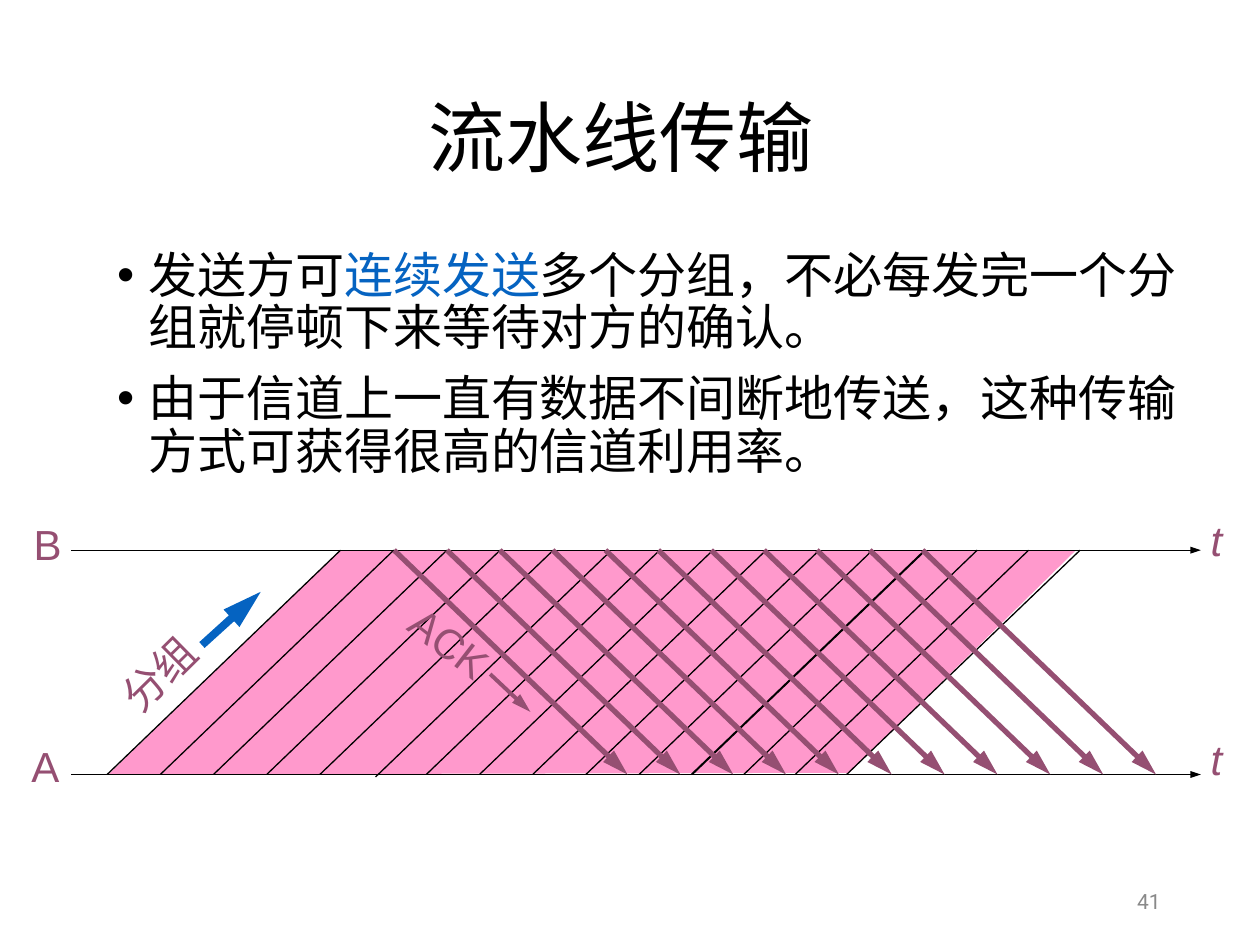
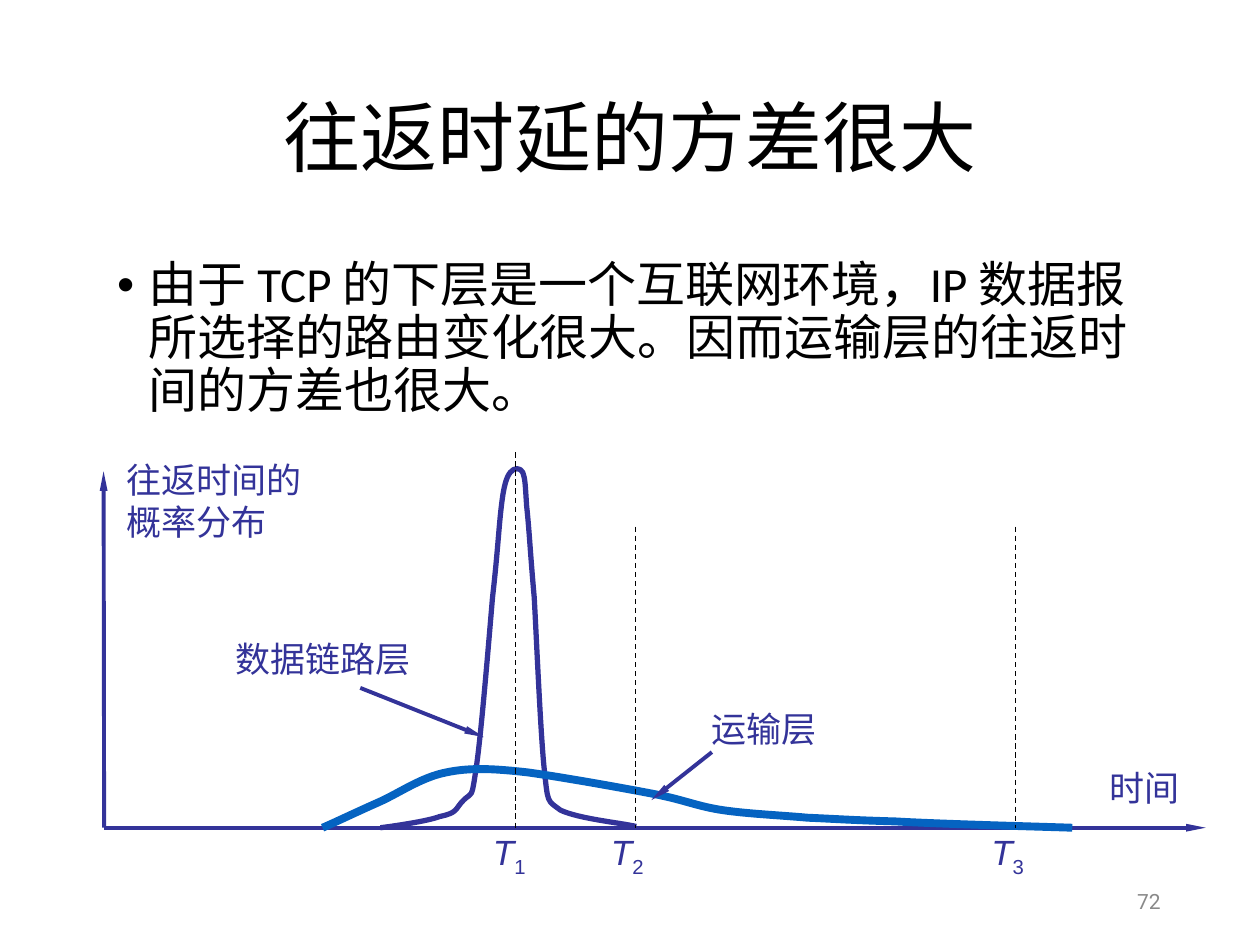
from dataclasses import dataclass

from lxml.etree import SubElement
from pptx import Presentation
from pptx.dml.color import RGBColor
from pptx.enum.dml import MSO_LINE
from pptx.enum.shapes import MSO_CONNECTOR
from pptx.enum.text import MSO_ANCHOR, MSO_AUTO_SIZE, PP_ALIGN
from pptx.oxml.ns import qn
from pptx.util import Pt


@dataclass(frozen=True)
class Theme:
    black: str = "000000"
    blue: str = "0563C1"
    plum: str = "954F72"
    pink: str = "FF99CC"
    navy: str = "333399"
    grey: str = "898989"
    text_font: str = "Calibri"
    label_font: str = "Arial"
    number_font: str = "Roboto"
    title_size: float = 44
    body_size: float = 28
    packet_size: float = 24
    axis_size: float = 20
    number_size: float = 12
    hairline: float = 0.75
    medium: float = 2.25
    strong: float = 3
    heavy: float = 4.5
    # Arrowheads as (width, length)
    small_head: tuple = ("sm", "med")
    slim_head: tuple = ("sm", "lg")
    long_head: tuple = ("med", "lg")


THEME = Theme()


def add_span(para, text, *, size, color, font, italic=False, baseline=0):
    span = para.add_run()
    span.text = text
    span.font.size = Pt(size)
    span.font.name = font
    span.font.italic = italic
    span.font.color.rgb = RGBColor.from_string(color)
    if baseline:
        span.font._element.set("baseline", str(baseline * 1000))
    return span


class SlideBuilder:
    def __init__(self, deck, theme=THEME):
        self.deck = deck
        self.theme = theme
        self.page = None

    def new_page(self, title, number):
        theme = self.theme
        self.page = self.deck.slides.add_slide(self.deck.slide_layouts[6])
        frame = self.text_box(49.7, 28.8, 620.6, 104.4, anchor=MSO_ANCHOR.MIDDLE)
        para = frame.paragraphs[0]
        para.alignment = PP_ALIGN.CENTER
        para.line_spacing = 0.9
        add_span(para, title, size=theme.title_size, color=theme.black, font=theme.text_font)
        frame = self.text_box(508.3, 500.4, 162, 28.8, anchor=MSO_ANCHOR.MIDDLE)
        para = frame.paragraphs[0]
        para.alignment = PP_ALIGN.RIGHT
        add_span(para, str(number), size=theme.number_size, color=theme.grey,
                 font=theme.number_font)

    def text_box(self, left, top, width, height, *, anchor=MSO_ANCHOR.TOP,
                 wrap=True, rotation=0):
        box = self.page.shapes.add_textbox(Pt(left), Pt(top), Pt(width), Pt(height))
        box.rotation = rotation
        frame = box.text_frame
        frame.word_wrap = wrap
        frame.auto_size = MSO_AUTO_SIZE.NONE if wrap else MSO_AUTO_SIZE.SHAPE_TO_FIT_TEXT
        frame.vertical_anchor = anchor
        return frame

    def bullets(self, left, top, width, height, items):
        """Each item is a list of (text, color) pairs."""
        frame = self.text_box(left, top, width, height)
        for index, item in enumerate(items):
            para = frame.add_paragraph() if index else frame.paragraphs[0]
            para.line_spacing = 0.9
            para.space_before = Pt(10 if index else 0)
            properties = para._p.get_or_add_pPr()
            properties.set("marL", str(Pt(18)))
            properties.set("indent", str(-Pt(18)))
            SubElement(properties, qn("a:buFont")).set("typeface", "Arial")
            SubElement(properties, qn("a:buChar")).set("char", "•")
            for text, color in item:
                add_span(para, text, size=self.theme.body_size, color=color,
                         font=self.theme.text_font)

    def label(self, left, top, width, height, *lines, size, color, italic=False,
              subscript="", rotation=0):
        frame = self.text_box(left, top, width, height, wrap=False, rotation=rotation)
        look = dict(size=size, color=color, font=self.theme.label_font)
        for index, line in enumerate(lines):
            para = frame.add_paragraph() if index else frame.paragraphs[0]
            add_span(para, line, italic=italic, **look)
            if subscript:
                add_span(para, subscript, baseline=-25, **look)

    def line(self, start, end, color, width, *, head=None, dashed=False):
        connector = self.page.shapes.add_connector(
            MSO_CONNECTOR.STRAIGHT, *(Pt(value) for value in (*start, *end)))
        connector.line.color.rgb = RGBColor.from_string(color)
        connector.line.width = Pt(width)
        if dashed:
            connector.line.dash_style = MSO_LINE.DASH
        if head:
            tail = SubElement(connector.line._get_or_add_ln(), qn("a:tailEnd"))
            for name, value in zip(("type", "w", "len"), ("triangle", *head)):
                tail.set(name, value)
        SubElement(connector._element.spPr, qn("a:effectLst"))

    def outline(self, points, *, close):
        start, *rest = [(Pt(x), Pt(y)) for x, y in points]
        drawing = self.page.shapes.build_freeform(*start)
        drawing.add_line_segments(rest, close=close)
        shape = drawing.convert_to_shape()
        shape.shadow.inherit = False
        return shape

    def area(self, points, fill):
        shape = self.outline(points, close=True)
        shape.fill.solid()
        shape.fill.fore_color.rgb = RGBColor.from_string(fill)
        shape.line.fill.background()

    def curve(self, start, pieces, color, width):
        """Each piece is a cubic curve: two control points and an end."""
        shape = self.outline([start, *(point for piece in pieces for point in piece)],
                             close=False)
        # Join every three straight segments into one cubic curve
        segments = list(shape._element.iter(qn("a:lnTo")))
        for first in range(0, len(segments), 3):
            segments[first].tag = qn("a:cubicBezTo")
            for segment in segments[first + 1:first + 3]:
                segments[first].append(segment[0])
                segment.getparent().remove(segment)
        shape.fill.background()
        shape.line.color.rgb = RGBColor.from_string(color)
        shape.line.width = Pt(width)


def build_pipeline_page(builder):
    theme = builder.theme
    builder.new_page("流水线传输 ", 41)
    builder.bullets(59.8, 139.7, 634.3, 164.2, [
        [("发送方可", theme.black), ("连续发送", theme.blue),
         ("多个分组，不必每发完一个分组就停顿下来等待对方的确认。", theme.black)],
        [("由于信道上一直有数据不间断地传送，这种传输方式可获得很高的信道利用率。",
          theme.black)],
    ])

    # Band of packets between the time axes of A and B
    receiver_y, sender_y = 314.4, 442.6
    travel = 133.4
    builder.area([(61.9, sender_y), (194.4, receiver_y), (614.2, 315), (485.3, 441.6)],
                 theme.pink)
    for y in (sender_y, receiver_y):
        builder.line((40.6, y), (686.2, y), theme.black, theme.hairline,
                     head=theme.small_head)

    # Packet edges: the last three are closer, the sixth is off the grid, one is doubled
    edges = [(61.2 + 30.4 * min(index, 11) + 29.4 * max(index - 11, 0), 0)
             for index in range(15)]
    edges[5] = (214.6, 1.4)
    edges.append((395, 0))
    for x, drop in edges:
        builder.line((x, sender_y + drop), (x + travel, receiver_y + drop),
                     theme.black, theme.hairline)

    # Acknowledgements
    for index in range(11):
        x = 225.2 + 30.2 * index
        builder.line((x, receiver_y), (x + travel, sender_y), theme.plum, theme.strong,
                     head=theme.long_head)

    # Labels and direction arrows
    look = dict(size=theme.packet_size, color=theme.plum)
    builder.label(12.2, 292.6, 30.2, 36, "B", **look)
    builder.label(10.8, 419.8, 30.2, 36, "A", **look)
    for top in (290.6, 415.4):
        builder.label(684.7, top, 20.9, 36, "t", italic=True, **look)
    builder.label(59.8, 366.5, 62.6, 36, "分组", rotation=315.3, **look)
    builder.label(225.2, 349.2, 64.1, 36, "ACK", rotation=37.8, **look)
    builder.line((115.4, 368.6), (149, 338.2), theme.blue, theme.heavy,
                 head=theme.long_head)
    builder.line((280.1, 385.2), (303.1, 406.8), theme.plum, theme.medium,
                 head=theme.long_head)


def build_delay_page(builder):
    theme = builder.theme
    builder.new_page("往返时延的方差很大", 72)
    builder.bullets(59.8, 145.4, 612, 113, [
        [("由于 TCP 的下层是一个互联网环境，IP 数据报所选择的路由变化很大。"
          "因而运输层的往返时间的方差也很大。", theme.black)],
    ])

    # Axes
    base_y = 473
    for end in ((689, base_y), (59.2, 269.3)):
        builder.line((59.5, base_y), end, theme.navy, theme.medium, head=theme.slim_head)

    # Distribution curves
    builder.curve((217.4, base_y), [
        ((223.2, 472.3), (244.1, 469.4), (251.3, 466.6)),
        ((262.1, 464.4), (259.9, 462.2), (265, 457.2)),
        ((270, 452.2), (269.3, 457.9), (272.2, 438.5)),
        ((275, 419.8), (279.4, 365.8), (281.5, 341.3)),
        ((284.4, 316.1), (285.1, 301), (286.6, 288.7)),
        ((288, 277.2), (289.4, 272.9), (291.6, 270)),
        ((293.8, 267.1), (297.4, 267.1), (298.8, 270)),
        ((300.2, 273.6), (300.2, 277.9), (301, 289.4)),
        ((302.4, 301.7), (303.1, 316.8), (305.3, 341.3)),
        ((306.7, 366.5), (308.9, 419), (311, 439.2)),
        ((313.2, 459.4), (312.5, 457.2), (320.4, 463)),
        ((331.2, 468), (355, 470.2), (363.6, 472.3)),
    ], theme.navy, theme.strong)
    builder.curve((184.3, base_y), [
        ((189.4, 470.9), (204.5, 463.7), (216, 458.6)),
        ((227.5, 453.6), (240.5, 444.2), (254.9, 441.4)),
        ((268.6, 438.5), (282.2, 439.2), (301.7, 441.4)),
        ((321.8, 444.2), (354.2, 450), (373, 453.6)),
        ((391.7, 457.2), (398.2, 460.8), (413.3, 463)),
        ((427.7, 465.1), (445, 465.8), (461.5, 467.3)),
        ((478.1, 468), (486.7, 468.7), (511.9, 469.4)),
        ((537.1, 470.9), (591.8, 472.3), (612.7, base_y)),
    ], theme.blue, theme.heavy)

    # Time marks
    look = dict(size=theme.axis_size, color=theme.navy)
    marks = (("1", 294.5, 258.5, 274.6), ("2", 363.3, 301, 342), ("3", 580.3, 301, 559.4))
    for subscript, x, top, label_left in marks:
        builder.line((x, top), (x, base_y), theme.black, theme.hairline, dashed=True)
        builder.label(label_left, 470.9, 33.8, 31, "T", italic=True, subscript=subscript,
                      **look)

    # Labels and pointers
    builder.label(65.2, 258.5, 114.6, 55.4, "往返时间的", "概率分布", **look)
    builder.label(627.1, 434.2, 54.7, 31, "时间", **look)
    builder.label(127.4, 360.7, 114.6, 31, "数据链路层", **look)
    builder.label(399.5, 400.5, 75, 31, "运输层", **look)
    for start, end in (((205.9, 393.1), (276.5, 421.2)), ((406.8, 429.8), (372.2, 457.2))):
        builder.line(start, end, theme.navy, theme.medium, head=theme.slim_head)


def main():
    deck = Presentation()
    deck.slide_width, deck.slide_height = Pt(720), Pt(540)
    builder = SlideBuilder(deck)
    build_pipeline_page(builder)
    build_delay_page(builder)
    deck.save("out.pptx")


if __name__ == "__main__":
    main()
